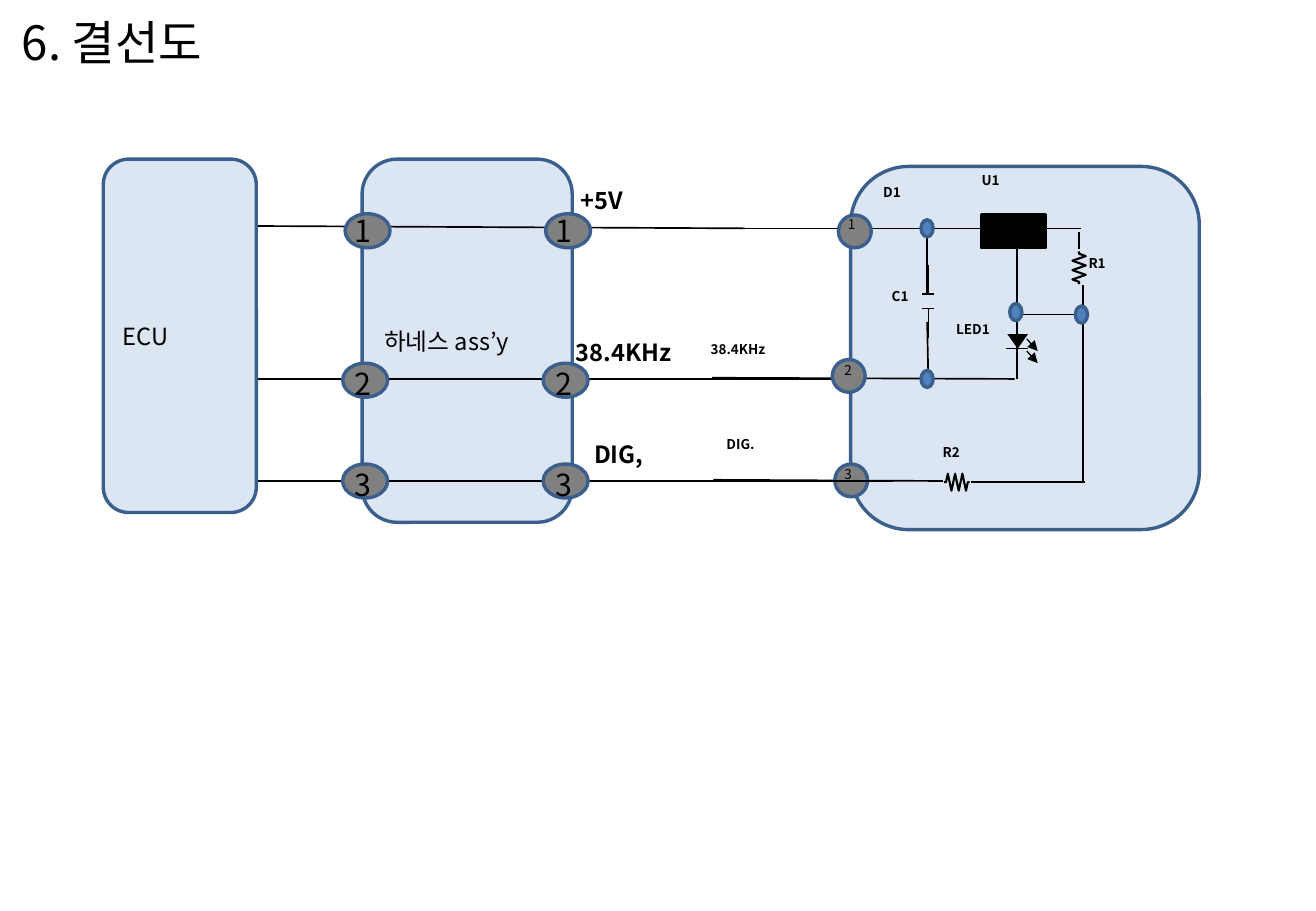
import pptx
import pptx.util
import pptx.dml.color
import pptx.enum.shapes
import pptx.enum.text
import pptx.oxml.ns
from lxml import etree

SHAPE = pptx.enum.shapes.MSO_SHAPE
MIDDLE = pptx.enum.text.MSO_ANCHOR.MIDDLE
TOP = pptx.enum.text.MSO_ANCHOR.TOP
qn = pptx.oxml.ns.qn


def px(length):
    return pptx.util.Emu(round(length * 9144))


def colour(hex_code):
    return pptx.dml.color.RGBColor.from_string(hex_code)


class WiringSlide:
    """Holds the style and the current slide of the wiring diagram."""

    FONT = "Noto Sans CJK KR"
    BLACK = "000000"
    PANEL = "DCE6F2"
    OUTLINE = "3A5F8C"
    PIN = "808080"
    NODE = "4F81BD"

    def __init__(self, presentation):
        self.slide = presentation.slides.add_slide(presentation.slide_layouts[5])
        self.shapes = self.slide.shapes

    def set_text(self, frame, text, size, bold=False, anchor=TOP):
        frame.word_wrap = True
        frame.vertical_anchor = anchor
        frame.text = text
        paragraph = frame.paragraphs[0]
        paragraph.alignment = pptx.enum.text.PP_ALIGN.LEFT
        for run in paragraph.runs:
            run.font.size = pptx.util.Pt(size)
            run.font.bold = bold
            run.font.color.rgb = colour(self.BLACK)
            run.font.name = self.FONT
            etree.SubElement(run.font._element, qn("a:ea"), typeface=self.FONT)

    def title(self, text, x, y, width, height):
        heading = self.shapes.title
        heading.left, heading.top = px(x), px(y)
        heading.width, heading.height = px(width), px(height)
        self.set_text(heading.text_frame, text, 28, anchor=MIDDLE)
        heading.text_frame.margin_left = px(18)

    def label(self, text, x, y, width, height, size=8, bold=True):
        box = self.shapes.add_textbox(px(x), px(y), px(width), px(height))
        self.set_text(box.text_frame, text, size, bold)

    def shape(self, kind, x, y, width, height, fill, outline=OUTLINE):
        part = self.shapes.add_shape(kind, px(x), px(y), px(width), px(height))
        part.shadow.inherit = False
        part.fill.solid()
        part.fill.fore_color.rgb = colour(fill)
        if outline:
            part.line.color.rgb = colour(outline)
            part.line.width = pptx.util.Pt(2)
        else:
            part.line.fill.background()
        return part

    def block(self, x, y, width, height, text=""):
        panel = self.shape(SHAPE.ROUNDED_RECTANGLE, x, y, width, height, self.PANEL)
        if text:
            self.set_text(panel.text_frame, text, 14, anchor=MIDDLE)

    def pin(self, x, y, width, height):
        self.shape(SHAPE.OVAL, x, y, width, height, self.PIN)

    def node(self, x, y):
        self.shape(SHAPE.OVAL, x, y, 10, 14, self.NODE)

    def wire(self, x1, y1, x2, y2, weight=1, arrow=False):
        straight = pptx.enum.shapes.MSO_CONNECTOR.STRAIGHT
        wire = self.shapes.add_connector(straight, px(x1), px(y1), px(x2), px(y2))
        wire.line.color.rgb = colour(self.BLACK)
        wire.line.width = pptx.util.Pt(weight)
        properties = wire._element.spPr
        if arrow:
            etree.SubElement(properties.find(qn("a:ln")), qn("a:tailEnd"), type="triangle")
        etree.SubElement(properties, qn("a:effectLst"))

    def resistor(self, x, y, length, swing, vertical=False):
        steps = [0, 2, 4, 8, 12, 16, 20, 24, 26, 28]
        sides = [0, 0, -1, 1, -1, 1, -1, 1, 0, 0]
        points = []
        for step, side in zip(steps, sides):
            along, across = length * step / 28, swing * side
            point = (x - across, y + along) if vertical else (x + along, y + across)
            points.append((px(point[0]), px(point[1])))
        builder = self.shapes.build_freeform(*points[0])
        builder.add_line_segments(points[1:], close=False)
        zigzag = builder.convert_to_shape()
        zigzag.shadow.inherit = False
        zigzag.fill.background()
        zigzag.line.color.rgb = colour(self.BLACK)
        zigzag.line.width = pptx.util.Pt(1.25)

    def capacitor(self, x, y, plate_gap, lead):
        for plate_y, lead_end in [(y, y - lead), (y + plate_gap, y + plate_gap + lead)]:
            self.wire(x - 5, plate_y, x + 5, plate_y)
            self.wire(x, plate_y, x, lead_end)

    def led(self, x, y):
        self.wire(x, y - 26, x, y + 25)
        self.wire(x - 9, y + 12, x + 9, y + 12)
        triangle = self.shape(SHAPE.ISOSCELES_TRIANGLE, x - 8, y, 17, 12, self.BLACK, None)
        triangle.rotation = 180
        for ray_y in (y + 4, y + 14):
            self.wire(x + 8, ray_y, x + 17, ray_y + 10, 0.75, arrow=True)


def main():
    presentation = pptx.Presentation()
    presentation.slide_width, presentation.slide_height = px(1083), px(750)
    diagram = WiringSlide(presentation)
    diagram.title("6. 결선도", 0, 0, 1083, 68)

    diagram.block(298, 131, 173, 299, "하네스 ass’y")
    diagram.wire(195, 186, 613, 188)
    diagram.wire(203, 312, 735, 312)
    diagram.block(700, 137, 287, 299)

    module_wires = [
        (586, 188, 890, 188), (586, 311, 835, 312), (587, 395, 776, 396),
        (837, 312, 837, 203), (891, 398, 891, 235), (799, 397, 893, 397),
        (764, 313, 763, 265), (763, 241, 763, 193), (891, 259, 838, 259),
        (888, 205, 888, 191),
    ]
    for ends in module_wires:
        diagram.wire(*ends)
    diagram.led(837, 275)
    diagram.capacitor(764, 242, 12, 24)
    diagram.resistor(777, 397, 21, 7)
    diagram.resistor(888, 207, 27, 5.5, vertical=True)
    diagram.shape(SHAPE.RECTANGLE, 808, 177, 52, 27, diagram.BLACK, diagram.BLACK)
    for x, y in [(885, 252), (758, 181), (758, 305), (831, 250)]:
        diagram.node(x, y)

    module_pins = [("1", 690, 177, 688, 173), ("2", 685, 296, 685, 293), ("3", 687, 382, 685, 379)]
    for number, x, y, text_x, text_y in module_pins:
        diagram.pin(x, y, 27, 27)
        diagram.label(number, text_x, text_y, 36, 41, bold=False)

    part_labels = [
        ("D1", 717, 147), ("U1", 798, 137), ("R1", 886, 205), ("C1", 724, 232),
        ("LED1", 777, 259), ("R2", 766, 361), ("38.4KHz", 575, 276), ("DIG.", 588, 354),
    ]
    for text, x, y in part_labels:
        diagram.label(text, x, y, 86, 34)
    for text, x, y in [("+5V", 468, 148), ("38.4KHz", 464, 273), ("DIG,", 479, 357)]:
        diagram.label(text, x, y, 172, 34, 14)

    diagram.wire(203, 396, 735, 396)
    diagram.block(85, 131, 126, 291, "ECU")
    harness_rows = [("1", 176, 170, 284, 449), ("2", 299, 296, 282, 447), ("3", 382, 379, 282, 447)]
    for number, pin_y, text_y, left_x, right_x in harness_rows:
        for pin_x, text_x in [(left_x, 282), (right_x, 447)]:
            diagram.pin(pin_x, pin_y, 37, 28)
            diagram.label(number, text_x, text_y, 38, 35, 18, bold=False)

    presentation.save("out.pptx")


if __name__ == "__main__":
    main()
